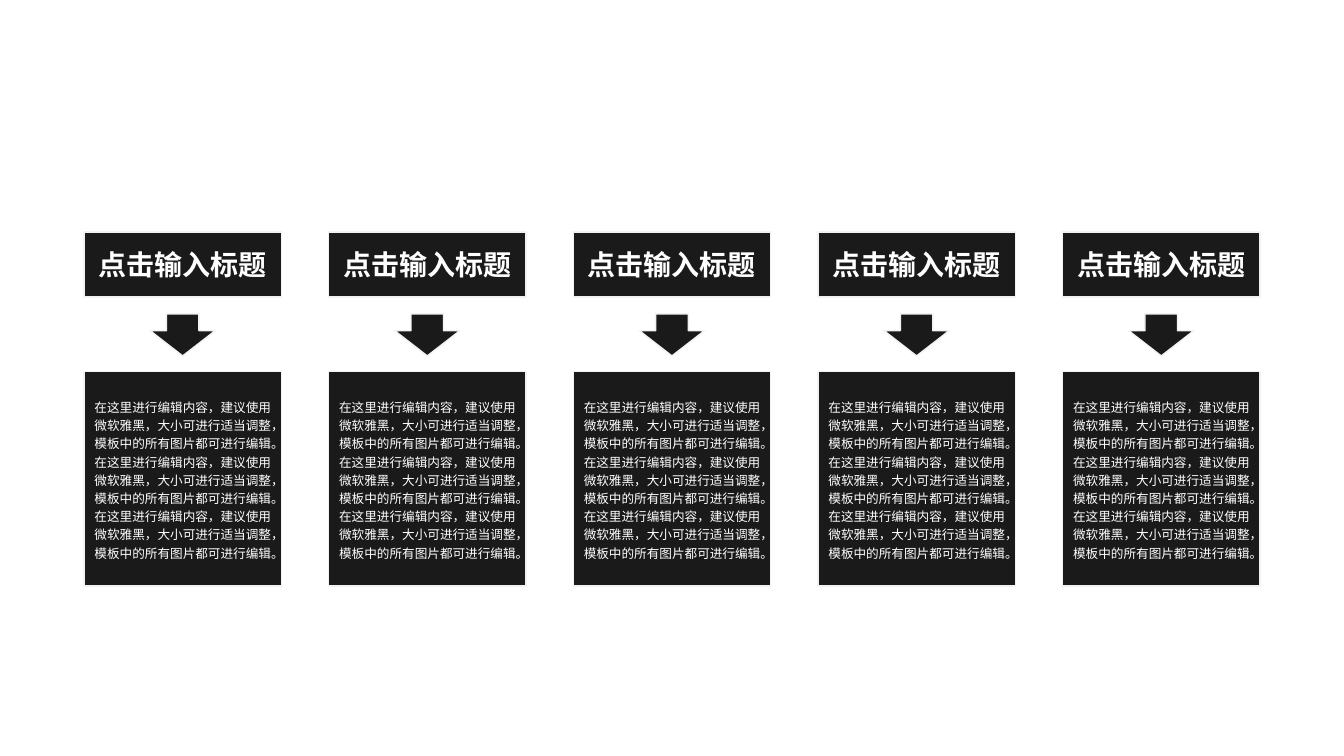
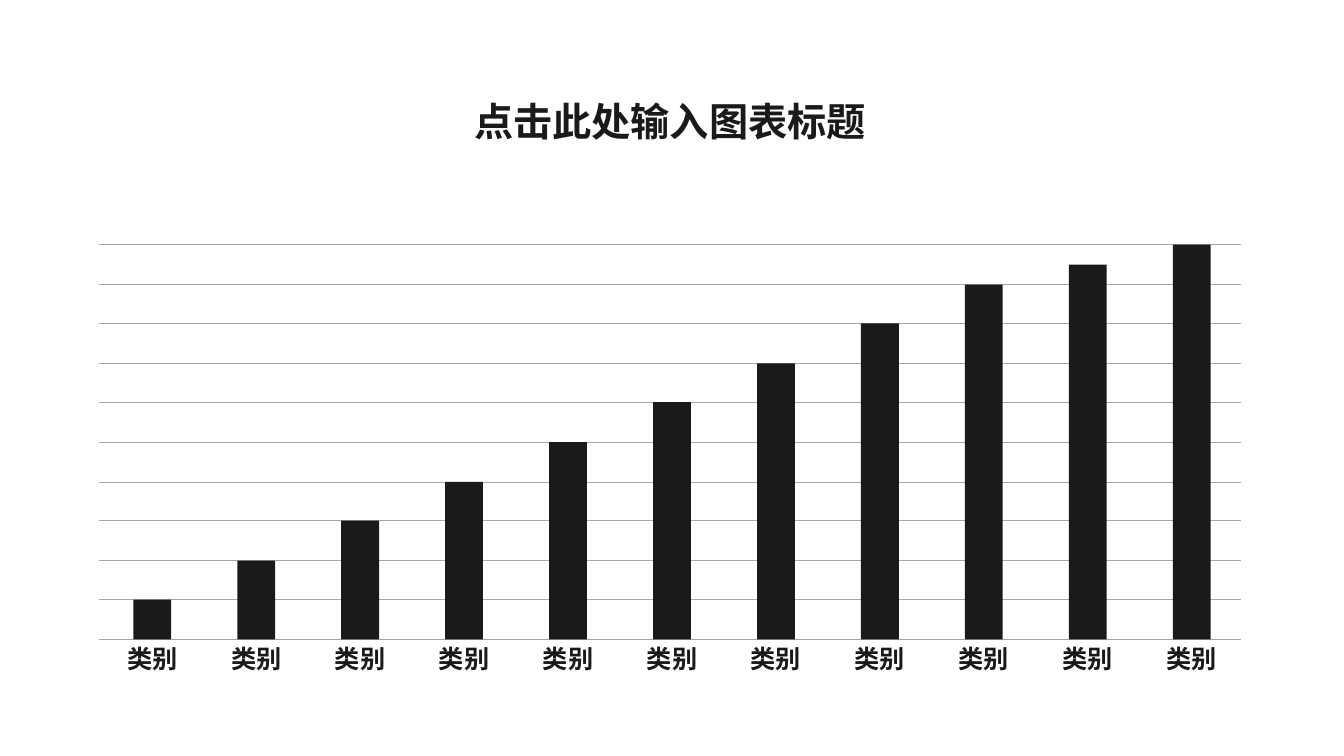
from lxml import etree
from pptx import Presentation
from pptx.dml.color import RGBColor
from pptx.enum.shapes import MSO_CONNECTOR as CONNECTOR, MSO_SHAPE as SHAPE
from pptx.enum.text import MSO_ANCHOR as ANCHOR, MSO_AUTO_SIZE as AUTO, PP_ALIGN as ALIGN
from pptx.oxml.ns import qn
from pptx.util import Pt

PX = 9525
FONT = "Noto Sans CJK SC"
COLORS = {
    "ink": "1A1A1A",
    "paper": "FFFFFF",
    "edge": "F2F2F2",
    "grid": "A6A6A6",
}
RGB = {name: RGBColor.from_string(value) for name, value in COLORS.items()}


def write(shape, text, size, color, bold=False, spacing=None, typeface=FONT):
    frame = shape.text_frame
    frame.text = text
    frame.vertical_anchor = ANCHOR.MIDDLE
    paragraph = frame.paragraphs[0]
    paragraph.alignment = ALIGN.CENTER
    paragraph.line_spacing = spacing
    font = paragraph.runs[0].font
    font.size = Pt(size)
    font.bold = bold
    font.color.rgb = RGB[color]
    font.name = typeface
    etree.SubElement(paragraph.runs[0]._r.rPr, qn("a:ea"), typeface=FONT)


def add_block(slide, kind, left, top, width, height, edge=True):
    shape = slide.shapes.add_shape(kind, left * PX, top * PX, width * PX, height * PX)
    shape.shadow.inherit = False
    shape.fill.solid()
    shape.fill.fore_color.rgb = RGB["ink"]
    if edge:
        shape.line.color.rgb = RGB["edge"]
        shape.line.width = Pt(1)
    else:
        shape.line.fill.background()
    return shape


presentation = Presentation()
presentation.slide_width = 1280 * PX
presentation.slide_height = 720 * PX
blank = presentation.slide_layouts[6]

slide = presentation.slides.add_slide(blank)
BODY = "在这里进行编辑内容，建议使用微软雅黑，大小可进行适当调整，模板中的所有图片都可进行编辑。" * 3
COLUMN_WIDTH, ARROW_WIDTH = 188, 62
for column in range(5):
    left = 80 + column * 233
    heading = add_block(slide, SHAPE.FLOWCHART_PROCESS, left, 221, COLUMN_WIDTH, 62)
    write(heading, "点击输入标题", 20, "paper", bold=True)
    body = add_block(slide, SHAPE.FLOWCHART_PROCESS, left, 354, COLUMN_WIDTH, 204)
    write(body, BODY, 9, "paper", spacing=1.2)
    arrow_left = left + (COLUMN_WIDTH - ARROW_WIDTH) // 2
    arrow = add_block(slide, SHAPE.DOWN_ARROW, arrow_left, 299, ARROW_WIDTH, 40)
    arrow.adjustments[0] = 0.5
    arrow.adjustments[1] = 0.6

slide = presentation.slides.add_slide(blank)
title = slide.shapes.add_textbox(440 * PX, 88 * PX, 396 * PX, 55 * PX)
title.text_frame.word_wrap = False
title.text_frame.auto_size = AUTO.SHAPE_TO_FIT_TEXT
write(title, "点击此处输入图表标题", 28, "ink", bold=True)

GRID_LEFT, GRID_RIGHT, GRID_TOP, BASELINE = 94, 1182, 233, 609
STEPS = 10
unit = (BASELINE - GRID_TOP) / STEPS
gridlines = slide.shapes.add_group_shape()
for step in range(STEPS + 1):
    y = round(GRID_TOP + step * unit)
    gridline = gridlines.shapes.add_connector(
        CONNECTOR.STRAIGHT, GRID_LEFT * PX, y * PX, GRID_RIGHT * PX, y * PX
    )
    gridline.line.color.rgb = RGB["grid"]
    gridline.line.width = Pt(0.5)
    etree.SubElement(gridline._element.spPr, qn("a:effectLst"))

BAR_PITCH, BAR_WIDTH, LABEL_WIDTH = 99, 36, 102
values = [1, 2, 3, 4, 5, 6, 7, 8, 9, 9.5, 10]
for index, value in enumerate(values):
    label_left = GRID_LEFT + index * BAR_PITCH
    bar_left = label_left + (LABEL_WIDTH - BAR_WIDTH) // 2
    height = round(value * unit)
    add_block(slide, SHAPE.RECTANGLE, bar_left, BASELINE - height, BAR_WIDTH, height, edge=False)
    label = slide.shapes.add_textbox(label_left * PX, 608 * PX, LABEL_WIDTH * PX, 38 * PX)
    label.text_frame.word_wrap = True
    label.text_frame.auto_size = AUTO.SHAPE_TO_FIT_TEXT
    write(label, "类别", 18, "ink", bold=True, typeface="Arial")
    label.text_frame.vertical_anchor = ANCHOR.TOP

presentation.save("out.pptx")
